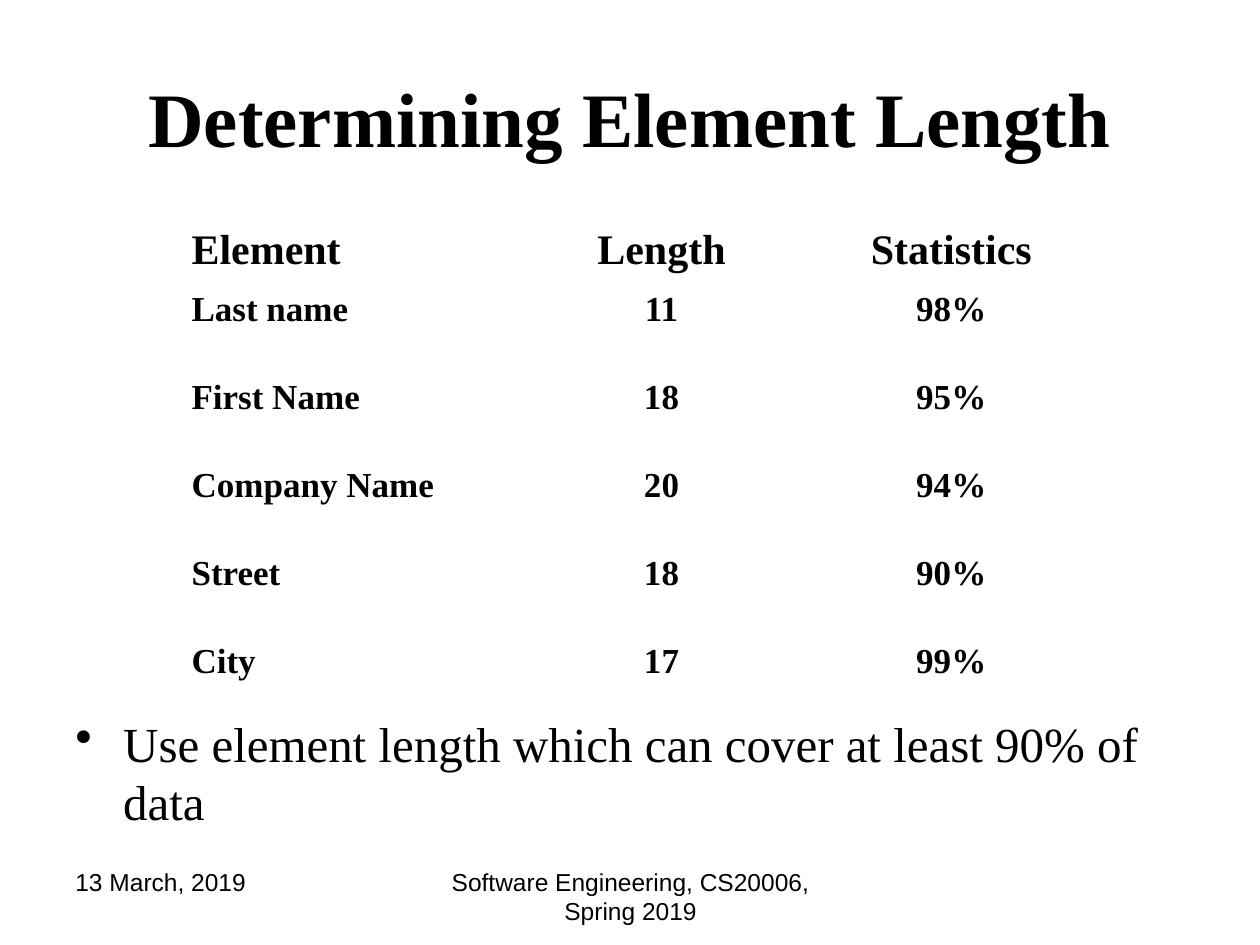
from pptx import Presentation
from pptx.dml.color import RGBColor
from pptx.enum.text import MSO_ANCHOR, PP_ALIGN
from pptx.oxml.xmlchemy import OxmlElement
from pptx.util import Inches, Pt

BLACK = RGBColor(0x00, 0x00, 0x00)
SERIF = "Times New Roman"
SANS = "Arial"
LEFT, CENTER = PP_ALIGN.LEFT, PP_ALIGN.CENTER
TOP, MIDDLE = MSO_ANCHOR.TOP, MSO_ANCHOR.MIDDLE

COLUMN_WIDTHS = (2.73, 2.2, 2.4)
HEADER_HEIGHT, ROW_HEIGHT = 0.5, 0.7
ROWS = (
    ("Element", "Length", "Statistics"),
    ("Last name", "11", "98%"),
    ("First Name", "18", "95%"),
    ("Company Name", "20", "94%"),
    ("Street", "18", "90%"),
    ("City", "17", "99%"),
)


def format_paragraph(paragraph, size, font_name, bold=False, alignment=LEFT):
    """Set the alignment of a paragraph and the font of its runs."""
    paragraph.alignment = alignment
    for run in paragraph.runs:
        run.font.size = Pt(size)
        run.font.name = font_name
        run.font.bold = bold
        run.font.color.rgb = BLACK


def add_text(slide, text, box, size, font_name, bold=False, alignment=LEFT, anchor=TOP):
    """Add a wrapped text box and return its paragraph."""
    shape = slide.shapes.add_textbox(*(Inches(length) for length in box))
    text_frame = shape.text_frame
    text_frame.word_wrap = True
    text_frame.vertical_anchor = anchor
    text_frame.text = text
    paragraph = text_frame.paragraphs[0]
    format_paragraph(paragraph, size, font_name, bold, alignment)
    return paragraph


def add_bullet(paragraph, indent):
    """Give a paragraph a round bullet with a hanging indent."""
    properties = paragraph._p.get_or_add_pPr()
    properties.set("marL", str(Inches(indent)))
    properties.set("indent", str(-Inches(indent)))
    bullet = OxmlElement("a:buChar")
    bullet.set("char", "•")
    properties.append(bullet)


def add_length_table(slide, left, top):
    """Add the unfilled table of element lengths."""
    height = HEADER_HEIGHT + ROW_HEIGHT * (len(ROWS) - 1)
    table = slide.shapes.add_table(
        len(ROWS), len(COLUMN_WIDTHS), Inches(left), Inches(top),
        Inches(sum(COLUMN_WIDTHS)), Inches(height),
    ).table
    table.first_row = False
    table.horz_banding = False
    for column, width in zip(table.columns, COLUMN_WIDTHS):
        column.width = Inches(width)
    for row_index, values in enumerate(ROWS):
        is_header = row_index == 0
        table.rows[row_index].height = Inches(HEADER_HEIGHT if is_header else ROW_HEIGHT)
        for column_index, value in enumerate(values):
            cell = table.cell(row_index, column_index)
            cell.fill.background()
            cell.text_frame.text = value
            format_paragraph(
                cell.text_frame.paragraphs[0], 24 if is_header else 20, SERIF,
                bold=True, alignment=CENTER if column_index else LEFT,
            )


def main():
    """Build the slide and save it."""
    presentation = Presentation()
    presentation.slide_width = Inches(10)
    presentation.slide_height = Inches(7.5)
    slide = presentation.slides.add_slide(presentation.slide_layouts[6])

    add_text(slide, "13 March, 2019", (0.5, 6.83, 2.33, 0.52), 14, SANS)
    add_text(slide, "Software Engineering, CS20006, Spring 2019",
             (3.42, 6.83, 3.17, 0.52), 14, SANS, alignment=CENTER)
    add_text(slide, "Determining Element Length", (0.5, 0.3, 9, 1.25), 44, SERIF,
             bold=True, alignment=CENTER, anchor=MIDDLE)
    advice = add_text(slide, "Use element length which can cover at least 90% of data",
                      (0.5, 5.61, 9, 1.14), 28, SERIF)
    add_bullet(advice, 0.38)
    add_length_table(slide, 1.42, 1.75)

    presentation.save("out.pptx")


main()
